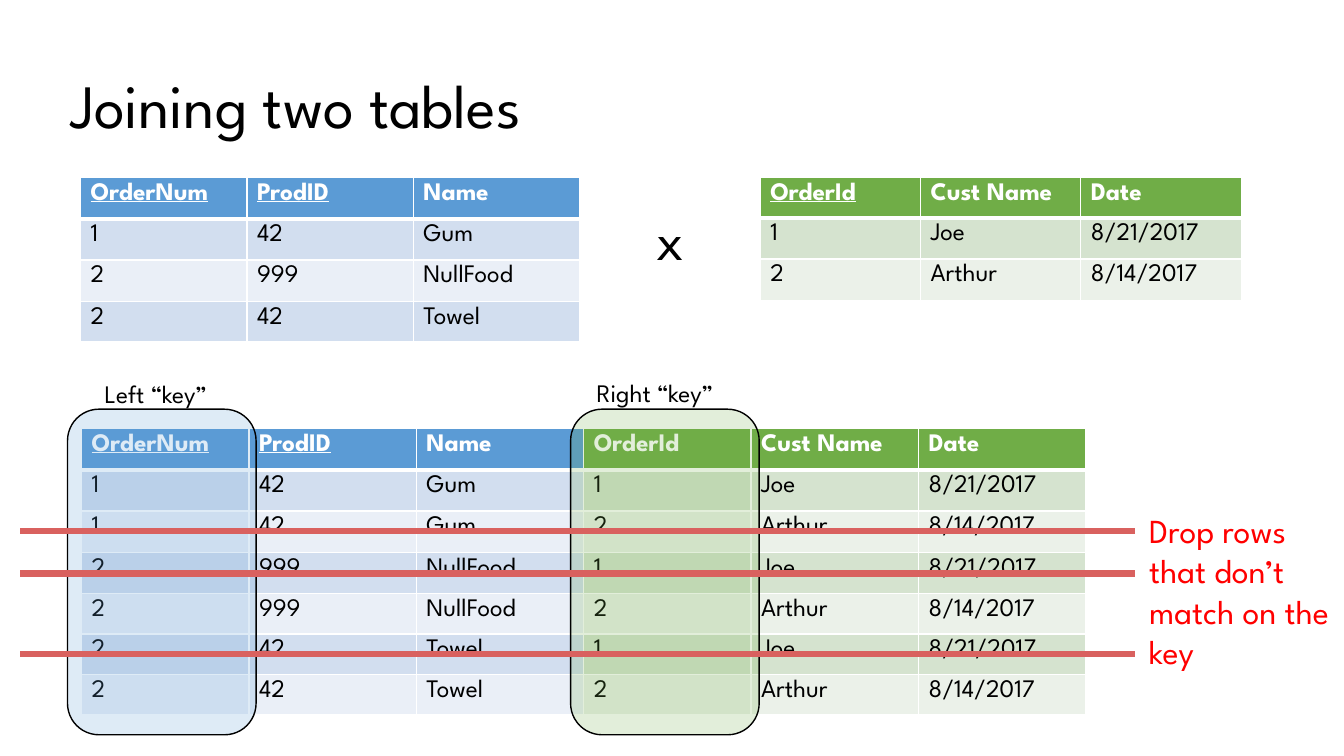
from dataclasses import dataclass, replace
from itertools import product

from lxml.etree import SubElement
from pptx import Presentation
from pptx.dml.color import RGBColor
from pptx.enum.shapes import MSO_CONNECTOR, MSO_SHAPE
from pptx.enum.text import MSO_ANCHOR
from pptx.oxml.ns import qn
from pptx.slide import Slide
from pptx.table import _Cell
from pptx.text.text import _Paragraph
from pptx.util import Inches, Pt

FONT = "League Spartan"
BLACK = RGBColor(0x00, 0x00, 0x00)
WHITE = RGBColor(0xFF, 0xFF, 0xFF)
RED = RGBColor(0xFF, 0x00, 0x00)
STRIKE_RED = RGBColor(0xD9, 0x61, 0x5F)
BLUE = RGBColor(0x5B, 0x9B, 0xD5)
BLUE_BANDS = (RGBColor(0xD2, 0xDE, 0xEF), RGBColor(0xEA, 0xEF, 0xF7))
GREEN = RGBColor(0x70, 0xAD, 0x47)
GREEN_BANDS = (RGBColor(0xD5, 0xE3, 0xCF), RGBColor(0xEB, 0xF1, 0xE9))


@dataclass(frozen=True)
class Column:
    name: str
    color: RGBColor
    bands: tuple[RGBColor, RGBColor]
    underline: bool = False


@dataclass(frozen=True)
class Grid:
    left: float
    top: float
    column_width: float
    row_heights: list[float]
    columns: list[Column]
    rows: list[tuple[str, ...]]


@dataclass(frozen=True)
class Label:
    text: str
    left: float
    top: float
    width: float
    height: float
    size: int
    color: RGBColor = BLACK
    wrap: bool = False


@dataclass(frozen=True)
class KeyHighlight:
    left: float
    color: RGBColor
    label: Label


ORDER_COLUMNS = [
    Column("OrderNum", BLUE, BLUE_BANDS, True),
    Column("ProdID", BLUE, BLUE_BANDS, True),
    Column("Name", BLUE, BLUE_BANDS),
]
ORDERS = [("1", "42", "Gum"), ("2", "999", "NullFood"), ("2", "42", "Towel")]
CUSTOMER_COLUMNS = [
    Column("OrderId", GREEN, GREEN_BANDS, True),
    Column("Cust Name", GREEN, GREEN_BANDS),
    Column("Date", GREEN, GREEN_BANDS),
]
CUSTOMERS = [("1", "Joe", "8/21/2017"), ("2", "Arthur", "8/14/2017")]
JOINED_COLUMNS = ORDER_COLUMNS + [replace(c, underline=False) for c in CUSTOMER_COLUMNS]
JOINED = [order + customer for order, customer in product(ORDERS, CUSTOMERS)]

GRIDS = [
    Grid(0.8, 1.76, 1.65, [0.41] * 3 + [0.39], ORDER_COLUMNS, ORDERS),
    Grid(7.54, 1.76, 1.59, [0, 0.41, 0.41], CUSTOMER_COLUMNS, CUSTOMERS),
    Grid(0.81, 4.25, 1.66, [0.41] * 4 + [0.39] * 3, JOINED_COLUMNS, JOINED),
]
LABELS = [
    Label("x", 6.41, 1.98, 0.47, 0.77, 40),
    Label("Drop rows that don’t match on the key", 11.3, 5.01, 2.17, 1.72, 24, RED, True),
]
HIGHLIGHTS = [
    KeyHighlight(0.67, BLUE, Label("Left “key”", 0.94, 3.7, 1.39, 0.4, 18)),
    KeyHighlight(5.66, GREEN, Label("Right “key”", 5.82, 3.69, 1.56, 0.4, 18)),
]
DROPPED_ROW_YS = (5.27, 5.69, 6.49)


def format_text(p: _Paragraph, size: int, color: RGBColor,
                bold: bool = False, underline: bool = False) -> None:
    for r in p.runs:
        r.font.name = FONT
        r.font.size = Pt(size)
        r.font.color.rgb = color
        r.font.bold = bold
        r.font.underline = underline


def add_label(s: Slide, label: Label) -> _Paragraph:
    box = s.shapes.add_textbox(Inches(label.left), Inches(label.top),
                               Inches(label.width), Inches(label.height))
    tf = box.text_frame
    tf.word_wrap = label.wrap
    tf.text = label.text
    p = tf.paragraphs[0]
    format_text(p, label.size, label.color)
    return p


def set_borders(cell: _Cell, top: int, bottom: int) -> None:
    """Draw white borders, one point wide at the sides; call before filling."""
    tc_pr = cell._tc.get_or_add_tcPr()
    for side, width in (("L", 1), ("R", 1), ("T", top), ("B", bottom)):
        ln = SubElement(tc_pr, qn(f"a:ln{side}"), w=str(Pt(width)))
        fill = SubElement(ln, qn("a:solidFill"))
        SubElement(fill, qn("a:srgbClr"), val=str(WHITE))


def add_grid(s: Slide, grid: Grid) -> None:
    frame = s.shapes.add_table(
        len(grid.row_heights), len(grid.columns), Inches(grid.left), Inches(grid.top),
        Inches(grid.column_width * len(grid.columns)), Inches(sum(grid.row_heights)))
    table = frame.table
    for column in table.columns:
        column.width = Inches(grid.column_width)
    for row, height in zip(table.rows, grid.row_heights):
        row.height = Inches(height)

    lines = [tuple(c.name for c in grid.columns), *grid.rows]
    for i, line in enumerate(lines):
        header = i == 0
        for j, (column, text) in enumerate(zip(grid.columns, line)):
            cell = table.cell(i, j)
            set_borders(cell, 3 if i == 1 else 1, 3 if header else 1)
            cell.fill.solid()
            cell.fill.fore_color.rgb = column.color if header else column.bands[(i - 1) % 2]
            cell.text_frame.text = text
            format_text(cell.text_frame.paragraphs[0], 18, WHITE if header else BLACK,
                        header, header and column.underline)


def add_highlight(s: Slide, highlight: KeyHighlight) -> None:
    sp = s.shapes.add_shape(MSO_SHAPE.ROUNDED_RECTANGLE, Inches(highlight.left),
                            Inches(4.06), Inches(1.87), Inches(3.23))
    sp.shadow.inherit = False
    sp.fill.solid()
    sp.fill.fore_color.rgb = highlight.color
    color = sp._element.spPr.find(qn("a:solidFill")).find(qn("a:srgbClr"))
    SubElement(color, qn("a:alpha"), val="20000")
    sp.line.color.rgb = BLACK
    sp.line.width = Pt(1)
    add_label(s, highlight.label)


def add_strike(s: Slide, y: float) -> None:
    """Cross out one joined row."""
    line = s.shapes.add_connector(MSO_CONNECTOR.STRAIGHT, Inches(0.2), Inches(y),
                                  Inches(11.26), Inches(y))
    line.line.color.rgb = STRIKE_RED
    line.line.width = Pt(4.5)
    SubElement(line._element.spPr, qn("a:effectLst"))


def main() -> None:
    prs = Presentation()
    prs.slide_width = Inches(13.33)
    prs.slide_height = Inches(7.5)
    s = prs.slides.add_slide(prs.slide_layouts[6])

    title = add_label(s, Label("Joining two tables", 0.6, 0.35, 11.81, 1.45, 44, wrap=True))
    title.line_spacing = 0.9
    s.shapes[0].text_frame.vertical_anchor = MSO_ANCHOR.MIDDLE

    for grid in GRIDS:
        add_grid(s, grid)
    for highlight in HIGHLIGHTS:
        add_highlight(s, highlight)
    for label in LABELS:
        add_label(s, label)
    for y in DROPPED_ROW_YS:
        add_strike(s, y)

    prs.save("out.pptx")


if __name__ == "__main__":
    main()
